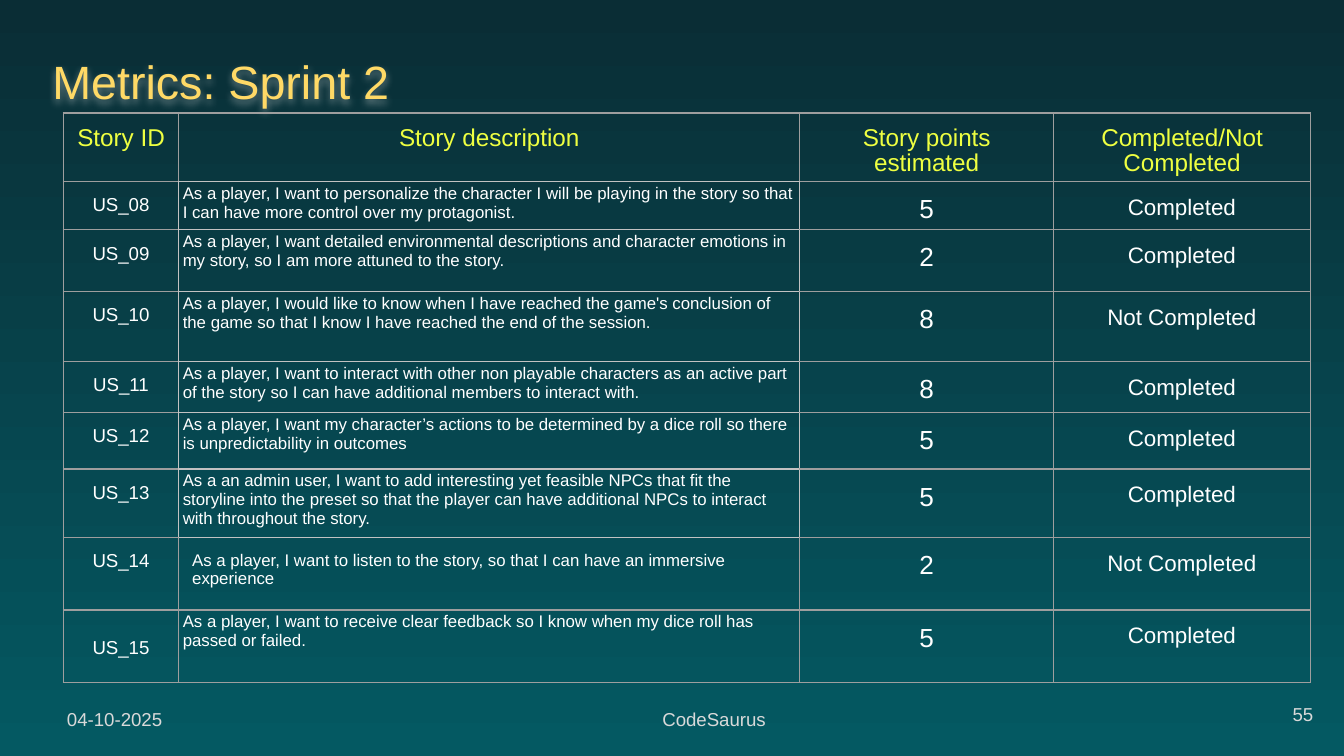
from pptx import Presentation, util as u
from pptx.dml.color import RGBColor
from pptx.enum.text import MSO_ANCHOR as Anchor, PP_ALIGN as Align
from pptx.oxml import parse_xml
from pptx.oxml.ns import nsdecls

HEADS = ["Story ID", "Story description", "Story points estimated", "Completed/Not Completed"]
DONE, OPEN = "Completed", "Not Completed"
STORIES = [
    ("US_08", "As a player, I want to personalize the character I will be playing in the story "
     "so that I can have more control over my protagonist.", 5, DONE),
    ("US_09", "As a player, I want detailed environmental descriptions and character emotions in "
     "my story, so I am more attuned to the story.", 2, DONE),
    ("US_10", "As a player, I would like to know when I have reached the game's conclusion of "
     "the game so that I know I have reached the end of the session.", 8, OPEN),
    ("US_11", "As a player, I want to interact with other non playable characters as an active "
     "part of the story so I can have additional members to interact with.", 8, DONE),
    ("US_12", "As a player, I want my character’s actions to be determined by a dice roll so "
     "there is unpredictability in outcomes", 5, DONE),
    ("US_13", "As a an admin user, I want to add interesting yet feasible NPCs that fit the "
     "storyline into the preset so that the player can have additional NPCs to interact with "
     "throughout the story.", 5, DONE),
    ("US_14", "As a player, I want to listen to the story, so that I can have an immersive "
     "experience", 2, OPEN),
    ("US_15", "As a player, I want to receive clear feedback so I know when my dice roll has "
     "passed or failed.", 5, DONE),
]
WIDTH = 10
HEIGHT = WIDTH * 9 / 16
COLS = [0.86, 4.62, 1.89, 1.91]
ROWS = [0.51, 0.36, 0.46, 0.52, 0.38, 0.42, 0.51, 0.54, 0.54]
SIZES = [10, 9, 14, 12]
FOOTER = [
    ("04-10-2025", (0.4, 5.18, 1.05, 0.3), Align.LEFT, Anchor.TOP),
    ("CodeSaurus", (4.83, 5.18, 1.05, 0.3), Align.JUSTIFY, Anchor.TOP),
    ("55", (9.27, 5.1, 0.6, 0.43), Align.RIGHT, Anchor.MIDDLE),
]
WIDE, TIGHT = (0.1, 0.1, 0.1, 0), (0.03, 0.02, 0.03, 0.02)
SIDES = {"L": (0, -1), "R": (0, 1), "T": (-1, 0), "B": (1, 0)}
LIGHT = {(row, 1) for row in range(1, 7)}


def rgb(code):
    return RGBColor.from_string(code)


def inset(item, sizes):
    """Set left, top, right and bottom margins of a cell or text frame."""
    (item.margin_left, item.margin_top,
     item.margin_right, item.margin_bottom) = map(u.Inches, sizes)


def write(frame, words, size, color, align):
    frame.text = words
    frame.word_wrap = True
    para = frame.paragraphs[0]
    para.alignment = align
    font = para.runs[0].font
    font.name, font.size, font.color.rgb = "Arial", u.Pt(size), rgb(color)


def place(shape, box):
    shape.left, shape.top, shape.width, shape.height = map(u.Inches, box)


def border(cell, row, col):
    """Draw all four edges, lighter where they touch a light cell."""
    props = cell._tc.get_or_add_tcPr()
    for side, (down, over) in SIDES.items():
        near = {(row, col), (row + down, col + over)}
        color = "C2C2C2" if near & LIGHT else "9E9E9E"
        props.append(parse_xml(
            f'<a:ln{side} {nsdecls("a")} w="{u.Pt(0.75)}"><a:solidFill>'
            f'<a:srgbClr val="{color}"/></a:solidFill></a:ln{side}>'))


def glow(shape):
    shape._element.spPr.append(parse_xml(
        f'<a:effectLst {nsdecls("a")}><a:outerShdw blurRad="57150" dist="19050" dir="5400000">'
        '<a:srgbClr val="D9D9D9"><a:alpha val="50000"/></a:srgbClr></a:outerShdw></a:effectLst>'))


def main():
    deck = Presentation()
    deck.slide_width, deck.slide_height = u.Inches(WIDTH), u.Inches(HEIGHT)
    slide = deck.slides.add_slide(deck.slide_layouts[5])

    back = slide.background.fill
    back.gradient()
    back.gradient_angle = 270
    for stop, color in zip(back.gradient_stops, ["0A2D35", "045962"]):
        stop.color.rgb = rgb(color)

    for words, box, align, anchor in FOOTER:
        note = slide.shapes.add_textbox(*map(u.Inches, box))
        write(note.text_frame, words, 10, "D9D9D9", align)
        inset(note.text_frame, [0.1] * 4)
        note.text_frame.vertical_anchor = anchor

    title = slide.shapes.title
    place(title, (0.29, 0.26, 8.73, 0.68))
    write(title.text_frame, "Metrics: Sprint 2", 25, "FFD966", Align.LEFT)
    inset(title.text_frame, [0.1] * 4)
    title.text_frame.vertical_anchor = Anchor.MIDDLE
    glow(title)

    box = map(u.Inches, (0.47, 0.84, sum(COLS), sum(ROWS)))
    table = slide.shapes.add_table(len(ROWS), len(COLS), *box).table
    table.first_row = table.horz_banding = False
    for col, width in zip(table.columns, COLS):
        col.width = u.Inches(width)
    for row, height in zip(table.rows, ROWS):
        row.height = u.Inches(height)

    last = len(STORIES)
    for row, line in enumerate([HEADS, *STORIES]):
        for col, words in enumerate(line):
            cell = table.cell(row, col)
            size, color = (SIZES[col], "FFFFFF") if row else (13, "EEFF41")
            align = Align.LEFT if row and col == 1 else Align.CENTER
            write(cell.text_frame, str(words), size, color, align)
            if not row:
                cell.text_frame.paragraphs[0].line_spacing = 0.93
            tight = (row, col) in LIGHT or (row, col) == (last, 1)
            inset(cell, TIGHT if tight else WIDE)
            border(cell, row, col)
            cell.fill.background()
    final = table.cell(last, 0)
    final.vertical_anchor = Anchor.BOTTOM
    inset(final, (0.03, 0.02, 0.03, 0.18))

    deck.save("out.pptx")


if __name__ == "__main__":
    main()
